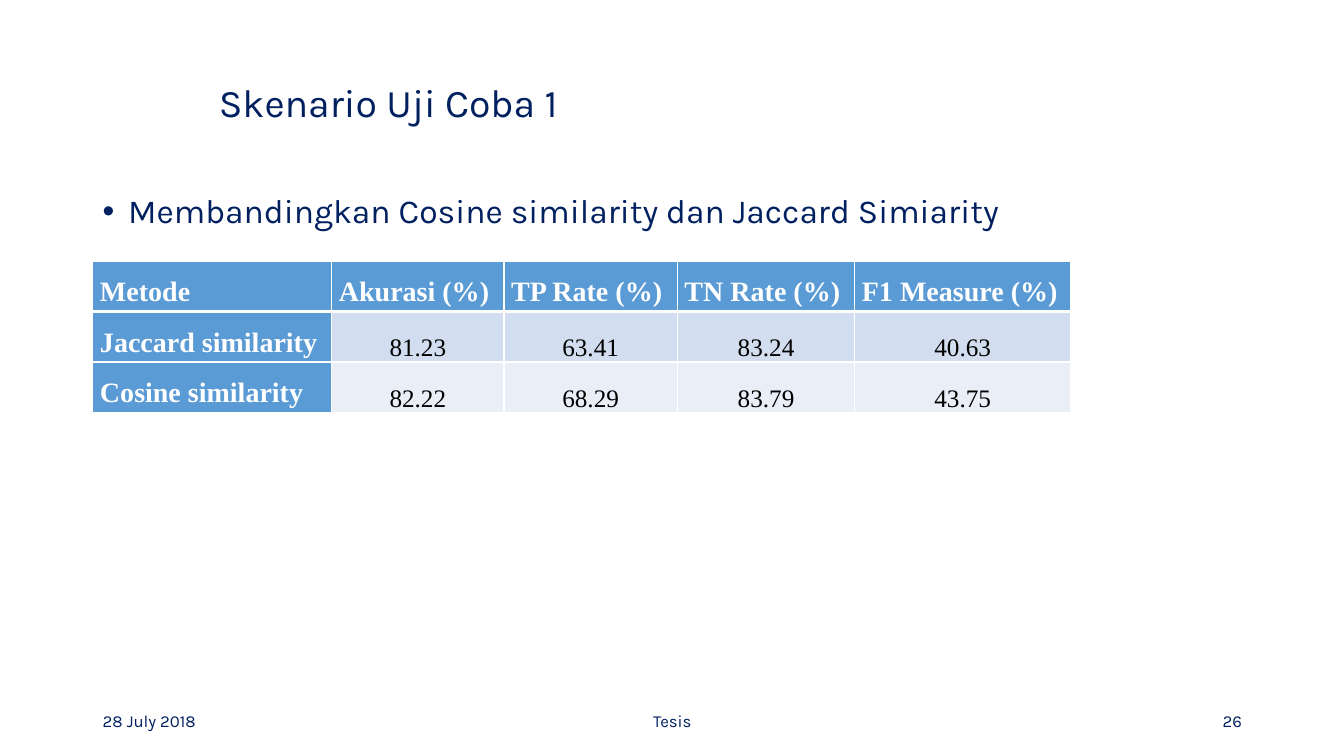
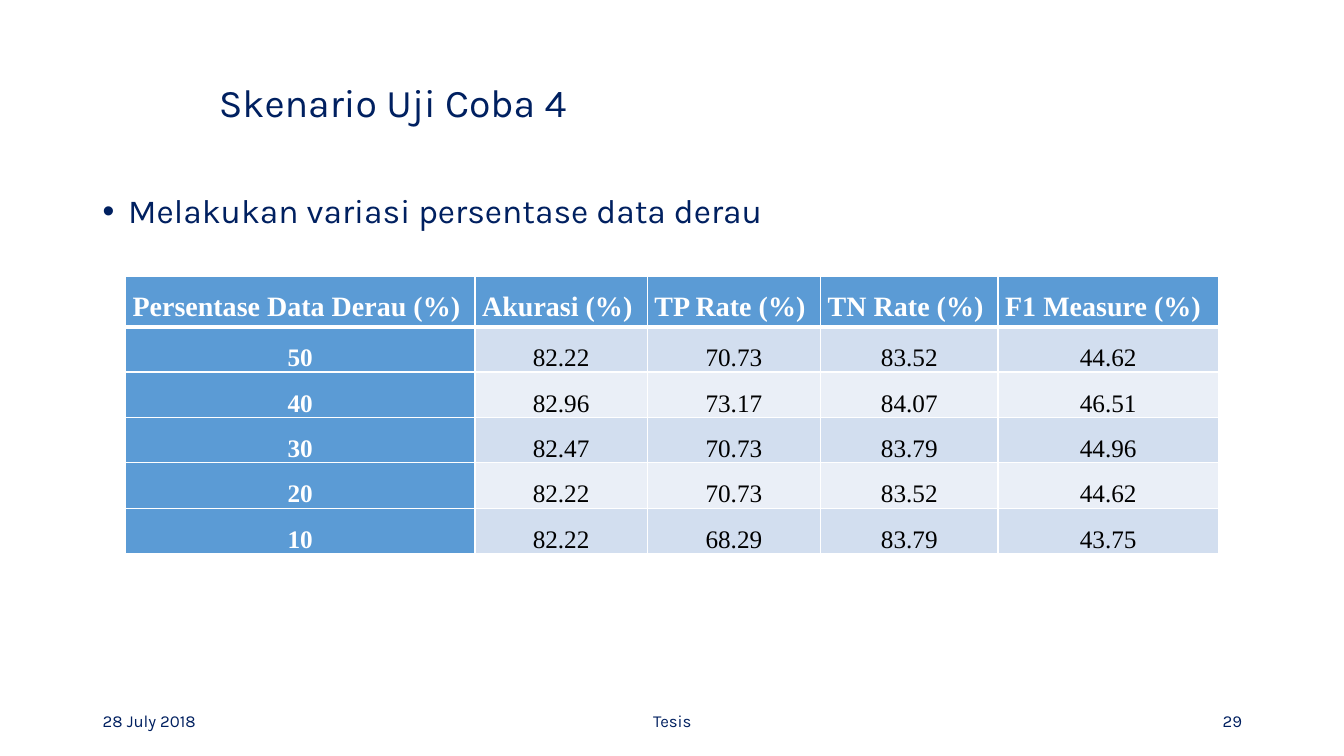
"""Build two slides of test scenario results, each with a table of metrics."""
from lxml.etree import SubElement
from pptx import Presentation
from pptx.dml.color import RGBColor
from pptx.enum.text import MSO_ANCHOR, MSO_AUTO_SIZE, PP_ALIGN
from pptx.oxml.ns import qn
from pptx.util import Cm, Pt

NAVY, BLUE, WHITE, BLACK = "002060", "5B9BD5", "FFFFFF", "000000"
BANDS = ["D2DEEF", "EAEFF7"]
METRICS = ["Akurasi (%)", "TP Rate (%)", "TN Rate (%)", "F1 Measure (%)"]
METRIC_WIDTHS = [4.34, 4.37, 4.47]
HEADER_HEIGHT = 1.17

SCENARIOS = [
    {
        "title": "Skenario Uji Coba 1",
        "aim": "Membandingkan Cosine similarity dan Jaccard Simiarity",
        "number": "26",
        "corner": (2.34, 6.58),
        "widths": [6.02, *METRIC_WIDTHS, 5.44],
        "row_height": 1.17,
        "label_style": (20, PP_ALIGN.JUSTIFY, MSO_ANCHOR.TOP),
        "rows": [
            ["Metode", *METRICS],
            ["Jaccard similarity", "81.23", "63.41", "83.24", "40.63"],
            ["Cosine similarity", "82.22", "68.29", "83.79", "43.75"],
        ],
    },
    {
        "title": "Skenario Uji Coba 4",
        "aim": "Melakukan variasi persentase data derau",
        "number": "29",
        "corner": (3.16, 6.96),
        "widths": [8.81, *METRIC_WIDTHS, 5.56],
        "row_height": 1.05,
        "label_style": (18, PP_ALIGN.CENTER, MSO_ANCHOR.BOTTOM),
        "rows": [
            ["Persentase Data Derau (%)", *METRICS],
            ["50", "82.22", "70.73", "83.52", "44.62"],
            ["40", "82.96", "73.17", "84.07", "46.51"],
            ["30", "82.47", "70.73", "83.79", "44.96"],
            ["20", "82.22", "70.73", "83.52", "44.62"],
            ["10", "82.22", "68.29", "83.79", "43.75"],
        ],
    },
]


def color(hex_code):
    """Turn a hex string into a colour."""
    return RGBColor.from_string(hex_code)


def write(frame, text, size, align, anchor, font="Karla", ink=NAVY, bold=False):
    """Fill a text frame or cell with one formatted paragraph and return it."""
    frame.vertical_anchor = anchor
    paragraph = getattr(frame, "text_frame", frame).paragraphs[0]
    paragraph.text = text
    paragraph.alignment = align
    paragraph.font.name = font
    paragraph.font.size = Pt(size)
    paragraph.font.bold = bold
    paragraph.font.color.rgb = color(ink)
    return paragraph


prs = Presentation()
prs.slide_width, prs.slide_height = Cm(33.87), Cm(19.05)

for scenario in SCENARIOS:
    slide = prs.slides.add_slide(prs.slide_layouts[5])
    title = slide.shapes.title
    title.left, title.top, title.width, title.height = Cm(5.26), Cm(1.45), Cm(28.5), Cm(2.36)
    title.text_frame.auto_size = MSO_AUTO_SIZE.NONE
    heading = write(title.text_frame, scenario["title"], 28, PP_ALIGN.LEFT, MSO_ANCHOR.MIDDLE)
    heading.line_spacing = 0.9

    body = slide.shapes.add_textbox(Cm(2.34), Cm(4.78), Cm(31.42), Cm(13.64)).text_frame
    body.word_wrap = True
    bullet = body.paragraphs[0]._p.get_or_add_pPr()
    bullet.set("marL", str(Cm(0.64)))
    bullet.set("indent", str(-Cm(0.64)))
    SubElement(bullet, qn("a:buFont"), typeface="Arial")
    SubElement(bullet, qn("a:buChar"), char="•")
    aim = write(body, scenario["aim"], 24, PP_ALIGN.LEFT, MSO_ANCHOR.TOP)
    aim.line_spacing = 0.9

    for left, width, text, align in [
        (2.34, 7.62, "28 July 2018", PP_ALIGN.LEFT),
        (11.23, 11.43, "Tesis", PP_ALIGN.CENTER),
        (23.93, 7.62, scenario["number"], PP_ALIGN.RIGHT),
    ]:
        footer = slide.shapes.add_textbox(Cm(left), Cm(17.65), Cm(width), Cm(1.01)).text_frame
        footer.word_wrap = True
        write(footer, text, 12, align, MSO_ANCHOR.MIDDLE)

    rows, widths = scenario["rows"], scenario["widths"]
    heights = [HEADER_HEIGHT] + [scenario["row_height"]] * (len(rows) - 1)
    left, top = scenario["corner"]
    results = slide.shapes.add_table(
        len(rows), len(widths), Cm(left), Cm(top), Cm(sum(widths)), Cm(sum(heights))
    ).table
    for column, width in zip(results.columns, widths):
        column.width = Cm(width)
    for r, (values, height) in enumerate(zip(rows, heights)):
        results.rows[r].height = Cm(height)
        for c, value in enumerate(values):
            cell = results.cell(r, c)
            cell.margin_left = cell.margin_right = Cm(0.18)
            cell.margin_top = cell.margin_bottom = 0
            if r == 0:
                style = (20, PP_ALIGN.JUSTIFY, MSO_ANCHOR.TOP)
            elif c == 0:
                style = scenario["label_style"]
            else:
                style = (18, PP_ALIGN.CENTER, MSO_ANCHOR.BOTTOM)
            is_label = r == 0 or c == 0
            ink = WHITE if is_label else BLACK
            entry = write(cell, value, *style, "Times New Roman", ink, is_label)
            entry.line_spacing = 1.5
            for side in ("L", "R", "T", "B"):
                is_thick = (r, side) in [(0, "B"), (1, "T")]
                border = SubElement(
                    cell._tc.get_or_add_tcPr(), qn(f"a:ln{side}"), w=str(Pt(3 if is_thick else 1))
                )
                SubElement(SubElement(border, qn("a:solidFill")), qn("a:srgbClr"), val=WHITE)
            cell.fill.solid()
            cell.fill.fore_color.rgb = color(BLUE if is_label else BANDS[(r - 1) % 2])

prs.save("out.pptx")
